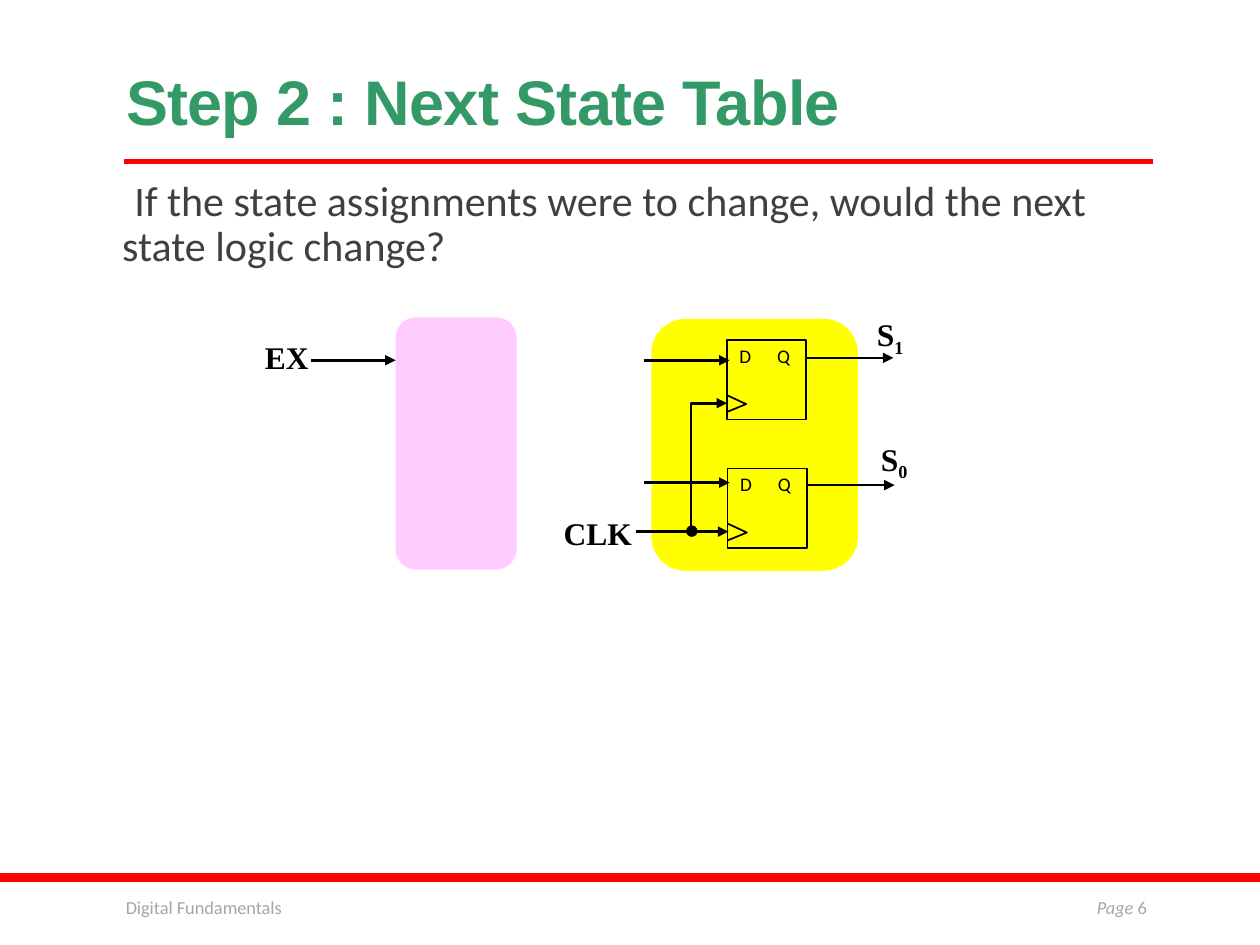
from pptx import Presentation
from pptx.dml.color import RGBColor
from pptx.enum.shapes import MSO_CONNECTOR, MSO_SHAPE
from pptx.enum.text import MSO_ANCHOR, PP_ALIGN
from pptx.oxml.ns import qn
from pptx.util import Pt
from lxml.etree import SubElement

BLACK = RGBColor(0, 0, 0)
RED = RGBColor(255, 0, 0)
GREEN = RGBColor(0x33, 0x99, 0x66)
GREY = RGBColor(0x40, 0x40, 0x40)
PALE = RGBColor(0xA6, 0xA6, 0xA6)
PINK = RGBColor(255, 0xCC, 255)
YELLOW = RGBColor(255, 255, 0)

# Content: lengths in points
TITLE = "Step 2 : Next State Table"
ASK = ("If the state assignments were to change, "
       "would the next state logic change?")
BLOCKS = [((226.1, 181.4, 69.1, 144), PINK),
          ((372.2, 182.2, 118.1, 144), YELLOW)]
FLOPS = [(415.4, 194.4), (415.8, 267.8)]
SIDE = 45.4
ARROWS = [  # left, right, height on slide
    (460.1, 510.5, 204.5), (460.8, 511.2, 277.2), (363.6, 416.2, 303.8),
    (177.8, 226.1, 205.9), (367.9, 416.9, 205.9), (367.9, 416.9, 275.8)]
CLOCK = [(394.9, 301.7), (394.9, 230.4), (415.4, 230.4)]
LABELS = [  # text, subscript, box
    ("S", "1", (493.2, 176.4, 31, 26.6)), ("S", "0", (495.4, 247.7, 31, 26.6)),
    ("CLK", "", (314.6, 290.2, 54, 26.6)), ("EX", "", (144, 189.4, 39.6, 28.8))]

deck = Presentation()
deck.slide_width, deck.slide_height = Pt(720), Pt(540)
slide = deck.slides.add_slide(deck.slide_layouts[5])
shapes = slide.shapes


def place(item, box):
    item.left, item.top, item.width, item.height = map(Pt, box)


def style(font, name, size, color, bold=False):
    font.name, font.size, font.bold = name, Pt(size), bold
    font.color.rgb = color


def add_box(kind, box, fill=None, line=None, width=1):
    item = shapes.add_shape(kind, *map(Pt, box))
    item.shadow.inherit = False
    if fill is None:
        item.fill.background()
    else:
        item.fill.solid()
        item.fill.fore_color.rgb = fill
    if line is None:
        item.line.fill.background()
    else:
        item.line.color.rgb, item.line.width = line, Pt(width)
    return item


def add_text(box, parts, wrap=True):
    frame = shapes.add_textbox(*map(Pt, box)).text_frame
    frame.word_wrap = wrap
    para = frame.paragraphs[0]
    for part in parts:
        para.add_run().text = part
    return para


def add_head(line):
    SubElement(line._get_or_add_ln(), qn("a:tailEnd"), type="triangle")


def add_line(x1, y1, x2, y2, color, width):
    link = shapes.add_connector(MSO_CONNECTOR.STRAIGHT,
                                *map(Pt, (x1, y1, x2, y2)))
    link.line.color.rgb, link.line.width = color, Pt(width)
    SubElement(link._element.spPr, qn("a:effectLst"))
    return link


def add_path(points, width):
    pts = [(Pt(x), Pt(y)) for x, y in points]
    build = shapes.build_freeform(*pts[0])
    build.add_line_segments(pts[1:], close=False)
    item = build.convert_to_shape()
    item.shadow.inherit = False
    item.fill.background()
    item.line.color.rgb, item.line.width = BLACK, Pt(width)
    return item


# Rules, title and question
add_box(MSO_SHAPE.RECTANGLE, (0, 499, 720, 5), RED)
add_line(70.6, 92.2, 658.8, 92.2, RED, 3)
title = shapes.title
place(title, (64.8, 22.3, 594, 60.5))
frame = title.text_frame
frame.text, frame.vertical_anchor = TITLE, MSO_ANCHOR.BOTTOM
para = frame.paragraphs[0]
para.alignment, para.line_spacing = PP_ALIGN.LEFT, 0.85
style(para.font, "Arial", 36, GREEN, True)
para.runs[0].font._element.set("spc", "-40")

ask = add_text((64.8, 99.4, 597.6, 62.6), [ASK])
style(ask.font, "Calibri", 24, GREY)
ask.line_spacing, ask.space_before, ask.space_after = 0.9, Pt(9), Pt(1.5)
frame = shapes[-1].text_frame
frame.margin_left = frame.margin_right = 0
props = ask._p.get_or_add_pPr()
props.set("marL", str(Pt(5)))
props.set("indent", str(Pt(-5)))
props.insert_element_before(props.makeelement(qn("a:buChar"), {"char": " "}),
                            "a:tabLst", "a:defRPr", "a:extLst")

# Footer
foot = add_text((64.8, 508.3, 285, 28.8), ["Digital Fundamentals"])
page = add_text((584.6, 508.3, 77.8, 28.8), ["Page ", "6"])
page.alignment = PP_ALIGN.RIGHT
page.runs[0].font.italic = True
for para in (foot, page):
    style(para.font, "Calibri", 10.5, PALE)

# Logic blocks
for box, fill in BLOCKS:
    add_box(MSO_SHAPE.ROUNDED_RECTANGLE, box, fill)

# Flip-flops, each with a clock wedge
for x, y in FLOPS:
    add_path([(x, y + 31.4), (x + 11, y + 36.5), (x, y + 41)], 1)
    flop = add_box(MSO_SHAPE.RECTANGLE, (x, y, SIDE, SIDE), None, BLACK)
    frame = flop.text_frame
    frame.text, frame.vertical_anchor = "D\tQ", MSO_ANCHOR.TOP
    para = frame.paragraphs[0]
    para.alignment, para.line_spacing = PP_ALIGN.LEFT, Pt(12)
    style(para.font, "Calibri", 11, BLACK)
    props = para._p.get_or_add_pPr()
    tabs = props.makeelement(qn("a:tabLst"), {})
    SubElement(tabs, qn("a:tab"), pos=str(Pt(21.6)), algn="l")
    props.insert_element_before(tabs, "a:defRPr", "a:extLst")

# Wires
for x1, x2, y in ARROWS:
    add_head(add_line(x1, y, x2, y, BLACK, 1.5).line)
add_head(add_path(CLOCK, 1.5).line)
add_box(MSO_SHAPE.OVAL, (392.4, 300.6, 5.8, 5.8), BLACK, BLACK, 0.75)

# Signal names
for name, sub, box in LABELS:
    para = add_text(box, [name, sub] if sub else [name], False)
    para.alignment = PP_ALIGN.CENTER
    style(para.font, "Times New Roman", 18, BLACK, True)
    if sub:
        para.runs[1].font._element.set("baseline", "-25000")

deck.save("out.pptx")
